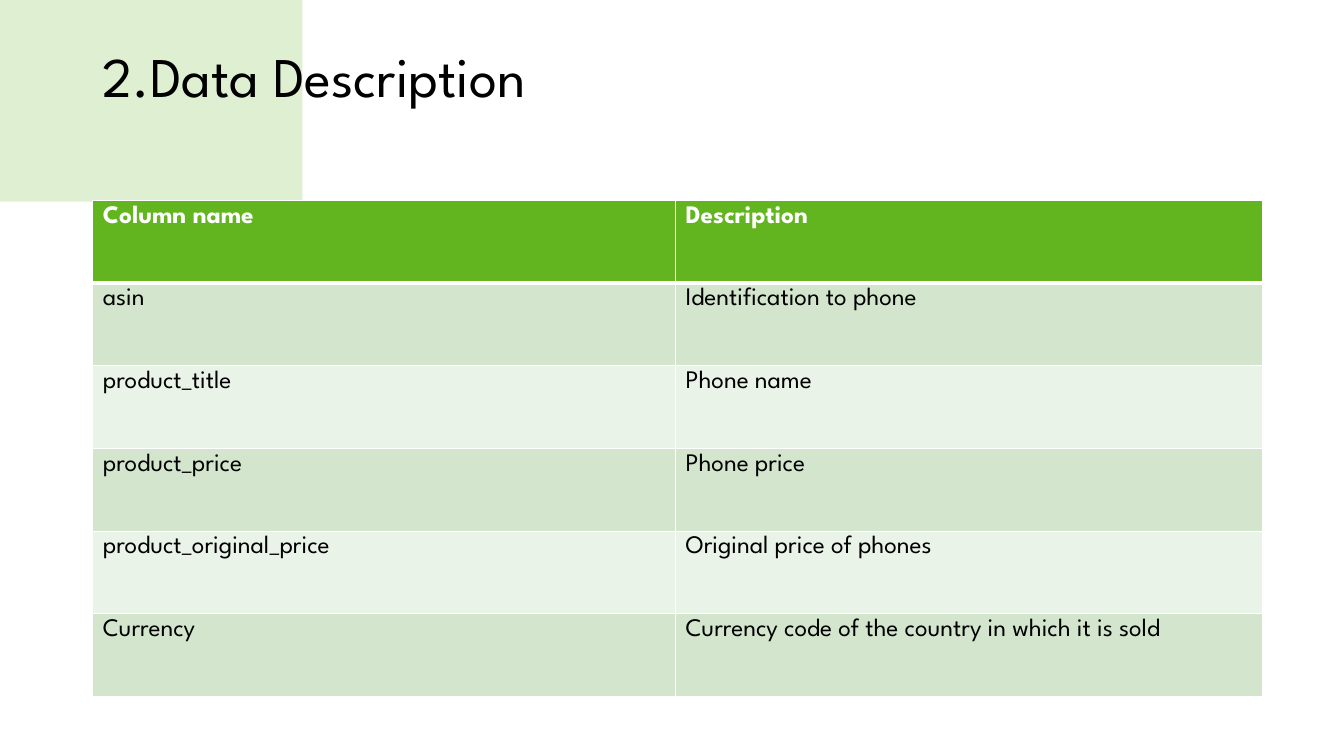
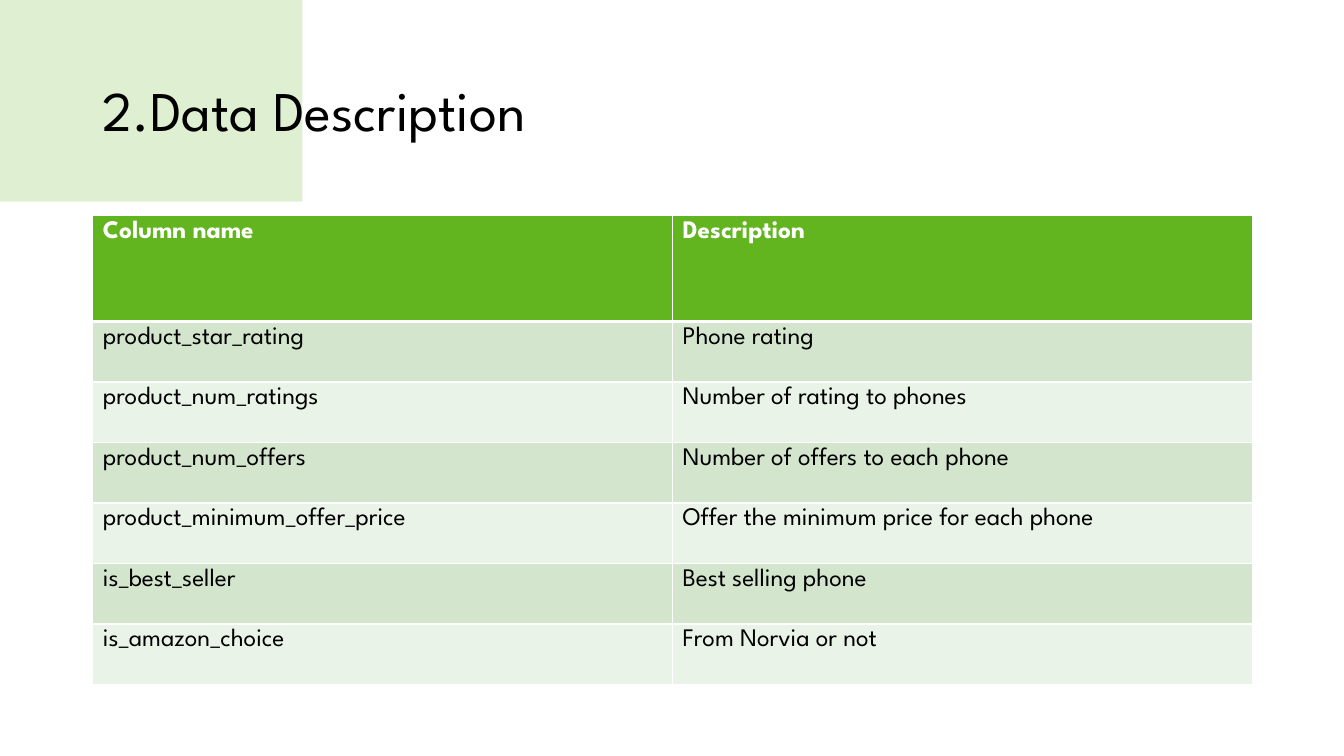
from pptx import Presentation
from pptx.util import Inches, Pt
from pptx.dml.color import RGBColor
from pptx.enum.text import MSO_ANCHOR as Anchor
from pptx.oxml.ns import qn
from lxml.etree import SubElement as Sub

FONT = "League Spartan"
GREEN, BLACK, WHITE = "63B520", "000000", "FFFFFF"
BANDS = ("D3E5CD", "EAF3E8")
LEFT = 0.92
TITLE = "2.Data Description"
HEAD = ("Column name", "Description")

SLIDES = [
    dict(
        base=0.73, top=1.99, cols=(5.78, 5.82), first=0.82, row=0.82,
        data=[
            ("asin", "Identification to phone"),
            ("product_title", "Phone name"),
            ("product_price", "Phone price"),
            ("product_original_price", "Original price of phones"),
            ("Currency", "Currency code of the country in which it is sold"),
        ],
    ),
    dict(
        base=0.05, top=2.14, cols=(5.75, 5.75), first=1.05, row=0.6,
        data=[
            ("product_star_rating", "Phone rating"),
            ("product_num_ratings", "Number of rating to phones"),
            ("product_num_offers", "Number of offers to each phone"),
            ("product_minimum_offer_price", "Offer the minimum price for each phone"),
            ("is_best_seller", "Best selling phone"),
            ("is_amazon_choice", "From Norvia or not"),
        ],
    ),
]

BRUSH = [
    (0, 0.34), (0.25, 0.37), (1.02, 0.37), (1.94, 0.41), (2.6, 0.41),
    (2.8, 0.47), (2.53, 0.57), (2.62, 0.62), (2.38, 0.66), (2.75, 0.74),
    (2.51, 0.75), (2.73, 0.81), (2.9, 0.85), (2.63, 0.88), (3.3, 0.94),
    (3.18, 1.06), (3.07, 1.11), (2.8, 1.2), (2.74, 1.28), (3.08, 1.28),
    (2.69, 1.38), (2.73, 1.42), (2.52, 1.48), (2.63, 1.48), (1.97, 1.72),
    (1.02, 1.88), (0.65, 1.91), (0, 1.88),
]


def paint(fill, color):
    fill.solid()
    fill.fore_color.rgb = RGBColor.from_string(color)


def write(frame, text, size=18, color=BLACK, bold=False, gap=None):
    para = frame.paragraphs[0]
    para.line_spacing = gap
    run = para.add_run()
    run.text = text
    font = run.font
    font.name, font.size, font.bold = FONT, Pt(size), bold
    paint(font.fill, color)


def smooth(dots, steps=5):
    ends = [dots[0]] + dots + [dots[-1]]
    for a, b, c, d in zip(ends, ends[1:], ends[2:], ends[3:]):
        for step in range(1, steps + 1):
            t = step / steps
            yield tuple(
                q + t * (r - p + t * (2 * p - 5 * q + 4 * r - s
                                      + t * (3 * (q - r) + s - p))) / 2
                for p, q, r, s in zip(a, b, c, d))


def brush(slide):
    form = slide.shapes.build_freeform(*BRUSH[0], scale=Inches(1))
    form.add_line_segments(list(smooth(BRUSH)), close=True)
    shape = form.convert_to_shape()
    shape.shadow.inherit = False
    shape.line.fill.background()
    paint(shape.fill, GREEN)
    tint = next(shape.element.spPr.iter(qn("a:srgbClr")))
    Sub(tint, qn("a:alpha"), val="20000")


def heading(slide, base):
    box = slide.shapes.add_textbox(Inches(LEFT), Inches(0.4), Inches(11.5), Inches(1.45))
    frame = box.text_frame
    frame.word_wrap = True
    frame.vertical_anchor = Anchor.MIDDLE
    frame.margin_bottom = Inches(base)
    write(frame, TITLE, size=40, gap=0.9)


def border(cell, **widths):
    props = cell._tc.get_or_add_tcPr()
    for side in "LRTB":
        line = Sub(props, qn("a:ln" + side), w=str(Pt(widths.get(side, 1))))
        Sub(Sub(line, qn("a:solidFill")), qn("a:srgbClr"), val=WHITE)


def grid(slide, top, cols, first, row, data):
    rows = [HEAD] + data
    highs = [first] + [row] * len(data)
    table = slide.shapes.add_table(
        len(rows), len(cols), Inches(LEFT), Inches(top),
        Inches(sum(cols)), Inches(sum(highs))).table
    for col, wide in zip(table.columns, cols):
        col.width = Inches(wide)
    for r, (texts, high) in enumerate(zip(rows, highs)):
        table.rows[r].height = Inches(high)
        head = r == 0
        for c, text in enumerate(texts):
            cell = table.cell(r, c)
            border(cell, B=3 if head else 1, T=3 if r == 1 else 1)
            paint(cell.fill, GREEN if head else BANDS[(r - 1) % 2])
            write(cell.text_frame, text, color=WHITE if head else BLACK, bold=head)


def main():
    deck = Presentation()
    deck.slide_width, deck.slide_height = Inches(13.33), Inches(7.5)
    for page in SLIDES:
        slide = deck.slides.add_slide(deck.slide_layouts[6])
        brush(slide)
        heading(slide, page["base"])
        grid(slide, *(page[key] for key in ("top", "cols", "first", "row", "data")))
    deck.save("out.pptx")


if __name__ == "__main__":
    main()
